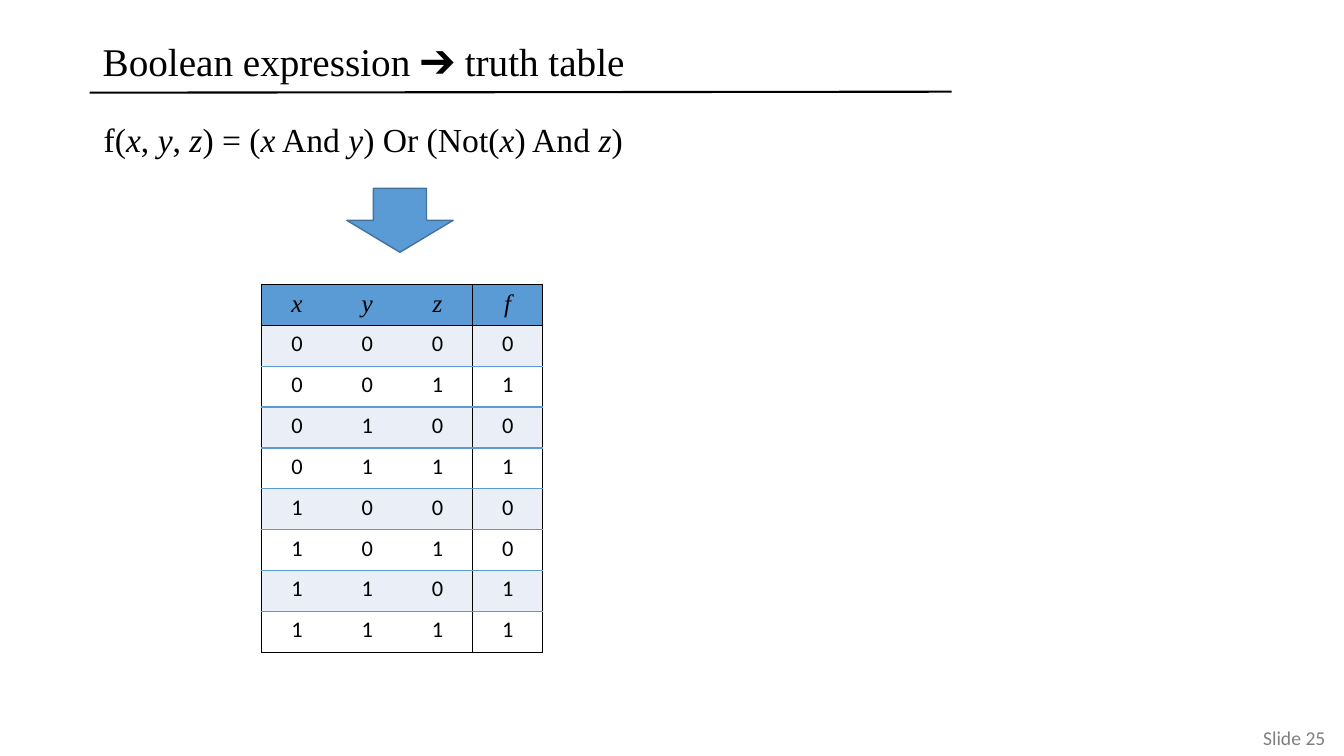
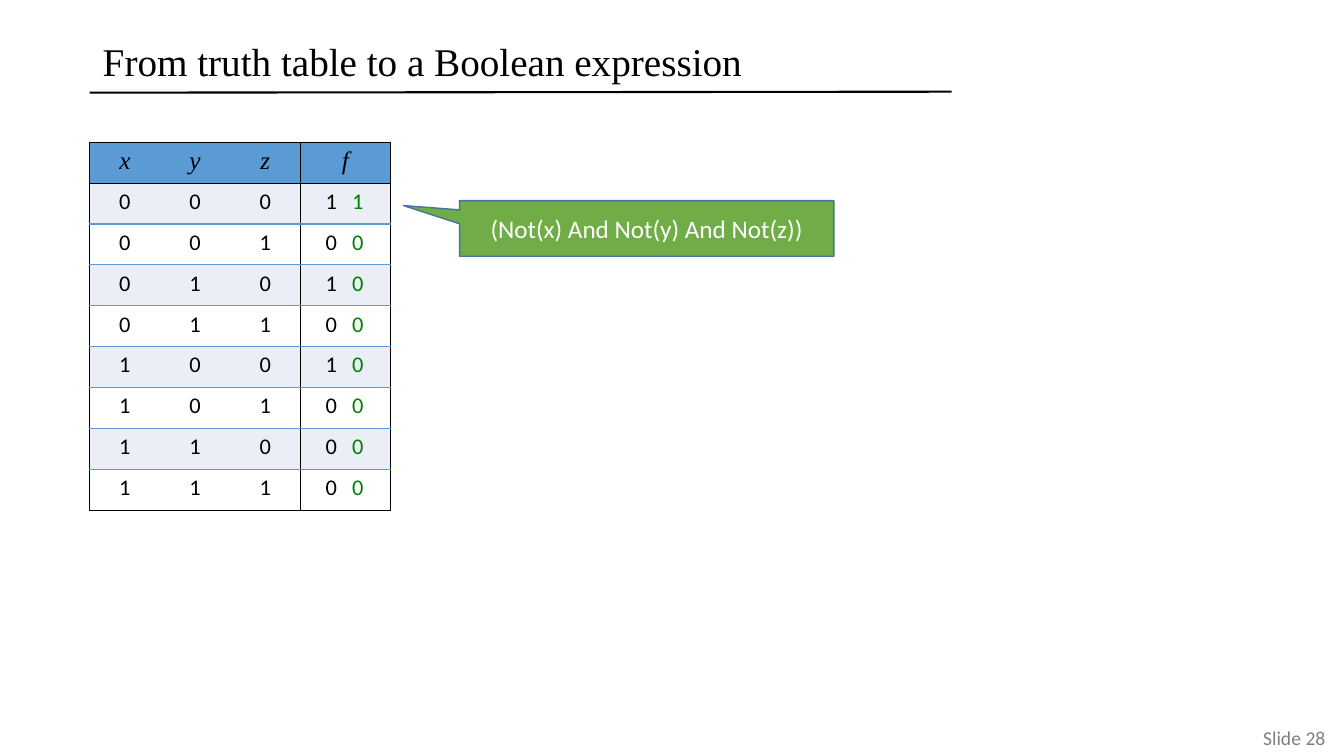
from dataclasses import dataclass
from itertools import product

from lxml.etree import SubElement
from pptx import Presentation
from pptx.dml.color import RGBColor
from pptx.enum.shapes import MSO_CONNECTOR, MSO_SHAPE
from pptx.enum.text import MSO_ANCHOR, PP_ALIGN
from pptx.oxml.ns import qn
from pptx.util import Pt


@dataclass(frozen=True)
class Theme:
    # Colours
    black: str = "000000"
    white: str = "FFFFFF"
    blue: str = "5B9BD5"
    pale: str = "EAEFF7"
    edge: str = "43739E"
    green: str = "70AD47"
    dark: str = "008000"
    grey: str = "808080"
    # Fonts and type sizes
    serif: str = "Times New Roman"
    sans: str = "Calibri"
    title: int = 28
    body: int = 24
    head: int = 18
    cell: int = 16
    foot: int = 14


T = Theme()
COL, ROW = 50.2, 29.2
TAB = 19


def put(item, **values):
    """Set each given attribute on the item."""
    for name, value in values.items():
        setattr(item, name, value)


def pts(box):
    return [Pt(n) for n in box]


def paint(fill, tone):
    fill.solid()
    fill.fore_color.rgb = RGBColor.from_string(tone)


def write(par, text, face, size, tone, **style):
    """Add one run of text to a paragraph."""
    run = par.add_run()
    run.text = text
    put(run.font, name=face, size=Pt(size), **style)
    run.font.color.rgb = RGBColor.from_string(tone)


def label(slide, box):
    """Add a wrapping text box and return its frame."""
    frame = slide.shapes.add_textbox(*pts(box)).text_frame
    frame.word_wrap = True
    return frame


def block(slide, kind, box, tone):
    """Add a filled shape with a thin edge."""
    shape = slide.shapes.add_shape(kind, *pts(box))
    shape.shadow.inherit = False
    paint(shape.fill, tone)
    paint(shape.line.fill, T.edge)
    shape.line.width = Pt(1)
    return shape


def border(cell, tones):
    """Draw the sides of a cell; a side without a tone stays clear."""
    props = cell._tc.get_or_add_tcPr()
    for spot, side in enumerate(("L", "R", "T", "B")):
        line = SubElement(props, qn(f"a:ln{side}"), w=str(Pt(1)))
        tone = tones[side]
        if tone:
            fill = SubElement(line, qn("a:solidFill"))
            SubElement(fill, qn("a:srgbClr"), val=tone)
        else:
            SubElement(line, qn("a:noFill"))
        props.insert(spot, line)


def truth(slide, left, top, wide, marks):
    """Truth table of x, y, z and f; marks holds the f digits of each row."""
    bits = product("01", repeat=3)
    rows = [tuple("xyzf")] + [(*b, m) for b, m in zip(bits, marks)]
    box = pts((left, top, 3 * COL + wide, ROW * len(rows)))
    table = slide.shapes.add_table(len(rows), 4, *box).table
    put(table, first_row=False, horz_banding=False)
    for c, width in enumerate((COL, COL, COL, wide)):
        table.columns[c].width = Pt(width)
    last = len(rows) - 1
    for r, row in enumerate(rows):
        table.rows[r].height = Pt(ROW)
        for c, text in enumerate(row):
            cell = table.cell(r, c)
            paint(cell.fill, T.pale if r % 2 else T.white if r else T.blue)
            border(cell, {
                "L": T.black if c in (0, 3) else None,
                "R": T.black if c > 1 else None,
                "T": T.black if r < 2 else T.blue,
                "B": T.black if r in (0, last) else T.blue,
            })
            par = cell.text_frame.paragraphs[0]
            par.alignment = PP_ALIGN.CENTER
            if r == 0:
                write(par, text, T.serif, T.head, T.black, italic=True)
            elif len(text) == 1:
                write(par, text, T.sans, T.cell, T.black)
            else:
                pair(cell, par, text)


def pair(cell, par, text):
    """Two digits in one cell, the second one green at a tab stop."""
    cell.margin_left = Pt(18)
    par.alignment = PP_ALIGN.LEFT
    stops = SubElement(par._p.get_or_add_pPr(), qn("a:tabLst"))
    SubElement(stops, qn("a:tab"), pos=str(Pt(TAB)), algn="l")
    write(par, text[0] + "\t", T.sans, T.cell, T.black)
    write(par, text[1], T.sans, T.cell, T.dark)


def base(deck, title, page):
    """Slide with title, rule and page label."""
    slide = deck.slides.add_slide(deck.slide_layouts[5])

    # Page label
    frame = label(slide, (64.8, 514.8, 882, 24.5))
    put(frame, margin_left=0, margin_right=0,
        vertical_anchor=MSO_ANCHOR.MIDDLE)
    par = frame.paragraphs[0]
    par.alignment = PP_ALIGN.RIGHT
    write(par, f"Slide {page}", T.sans, T.foot, T.grey)

    # Rule below the title
    ends = pts((64.1, 66.2, 679.7, 65.5))
    rule = slide.shapes.add_connector(MSO_CONNECTOR.STRAIGHT, *ends)
    paint(rule.line.fill, T.black)
    rule.line.width = Pt(1.5)
    SubElement(rule._element.spPr, qn("a:effectLst"))

    # Title
    head = slide.shapes.title
    put(head, left=Pt(66.2), top=Pt(23), width=Pt(614), height=Pt(45.4))
    head.text_frame.vertical_anchor = MSO_ANCHOR.MIDDLE
    par = head.text_frame.paragraphs[0]
    put(par, alignment=PP_ALIGN.LEFT, line_spacing=0.9)
    write(par, title, T.serif, T.title, T.black)
    return slide


def formula(slide, box, text):
    """Expression whose parts between asterisks are italic."""
    par = label(slide, box).paragraphs[0]
    par.line_spacing = 0.9
    for n, part in enumerate(text.split("*")):
        write(par, part, T.serif, T.body, T.black, italic=n % 2 == 1)


def callout(slide, box, text):
    """Green note that points at a table row."""
    note = block(slide, MSO_SHAPE.RECTANGULAR_CALLOUT, box, T.green)
    for n, value in enumerate((-0.65, -0.41)):
        note.adjustments[n] = value
    note.text_frame.vertical_anchor = MSO_ANCHOR.MIDDLE
    par = note.text_frame.paragraphs[0]
    par.alignment = PP_ALIGN.CENTER
    write(par, text, T.sans, T.head, T.white)


def main():
    deck = Presentation()
    put(deck, slide_width=Pt(960), slide_height=Pt(540))

    # Expression to table
    slide = base(deck, "Boolean expression ➔ truth table", 25)
    formula(slide, (67, 85, 612, 36),
            "f(*x*, *y*, *z*) = (*x* And *y*) Or (Not(*x*) And *z*)")
    block(slide, MSO_SHAPE.DOWN_ARROW, (247.7, 134.6, 76, 45.6), T.blue)
    truth(slide, 187, 203.2, COL, "01010011")

    # Table to expression
    slide = base(deck, "From truth table to a Boolean expression", 28)
    callout(slide, (328.3, 143.3, 267.3, 39.8),
            "(Not(x) And Not(y) And Not(z))")
    truth(slide, 64.1, 101.6, 64.2,
          [a + b for a, b in zip("10101000", "10000000")])

    deck.save("out.pptx")


if __name__ == "__main__":
    main()
